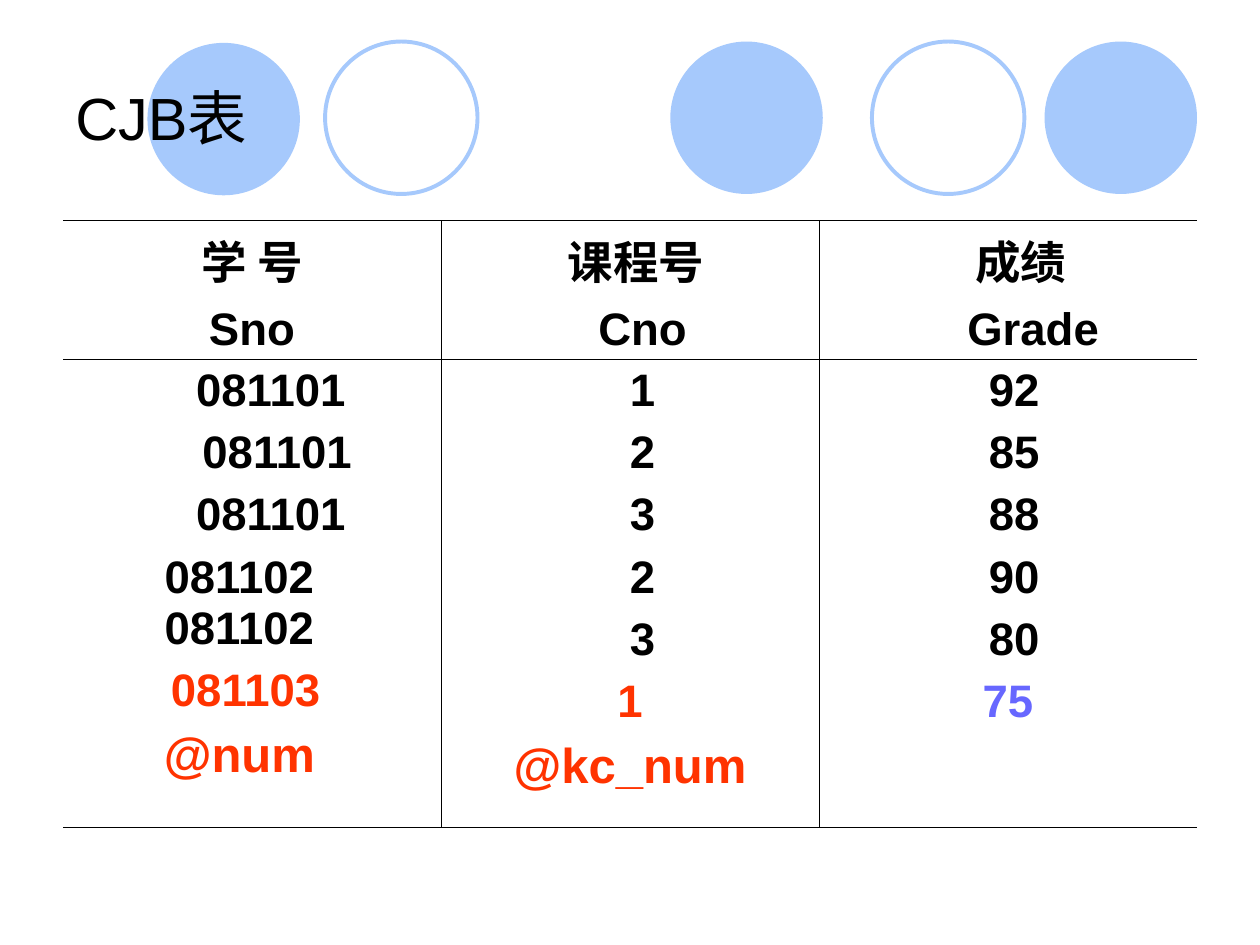
from dataclasses import dataclass

from lxml import etree
from pptx import Presentation
from pptx.dml.color import RGBColor
from pptx.enum.shapes import MSO_SHAPE
from pptx.enum.text import MSO_ANCHOR, PP_ALIGN
from pptx.oxml.ns import qn
from pptx.util import Inches, Pt

OVAL = MSO_SHAPE.OVAL
MIDDLE = MSO_ANCHOR.MIDDLE
CENTER = PP_ALIGN.CENTER


@dataclass(frozen=True)
class Theme:
    font: str = "Arial"
    ink: str = "000000"
    sky: str = "A6C9FC"
    red: str = "FF3300"
    violet: str = "6767FF"
    title: float = 34
    body: float = 26
    large: float = 28
    rule: float = 0.45
    ring: float = 2.25


theme = Theme()


def write(para, text, size, color, bold=False):
    run = para.add_run()
    run.text = text
    run.font.name = theme.font
    run.font.size = Pt(size)
    run.font.bold = bold
    run.font.color.rgb = RGBColor.from_string(color)


def set_edge(cell, side, drawn):
    """Draw a thin rule on one side of a cell, or clear that side."""
    props = cell._tc.get_or_add_tcPr()
    line = etree.SubElement(props, qn(f"a:ln{side}"), w=str(Pt(theme.rule)))
    if drawn:
        fill = etree.SubElement(line, qn("a:solidFill"))
        etree.SubElement(fill, qn("a:srgbClr"), val=theme.ink)
    else:
        etree.SubElement(line, qn("a:noFill"))


deck = Presentation()
deck.slide_width, deck.slide_height = Inches(10), Inches(7.5)
slide = deck.slides.add_slide(deck.slide_layouts[6])

# Row of circles: left, top, filled
circles = [
    (5.32, 0.33, True),
    (8.29, 0.33, True),
    (1.17, 0.34, True),
    (6.92, 0.33, False),
    (2.58, 0.33, False),
]
for left, top, filled in circles:
    disc = slide.shapes.add_shape(
        OVAL, Inches(left), Inches(top), Inches(1.21), Inches(1.21))
    disc.shadow.inherit = False
    if filled:
        disc.fill.solid()
        disc.fill.fore_color.rgb = RGBColor.from_string(theme.sky)
        disc.line.fill.background()
    else:
        disc.fill.background()
        disc.line.color.rgb = RGBColor.from_string(theme.sky)
        disc.line.width = Pt(theme.ring)

title = slide.shapes.add_textbox(
    Inches(0.5), Inches(0.3), Inches(9), Inches(1.25)).text_frame
title.word_wrap = True
title.vertical_anchor = MIDDLE
write(title.paragraphs[0], "CJB表", theme.title, theme.ink)

# Each entry: text, left indent in inches (negative means right), then
# colour and size where they differ from the body text
red, big = theme.red, theme.large
grid = [
    [
        [("学 号", 0), ("Sno", 0)],
        [("课程号", 0.1), ("Cno", 0.2)],
        [("成绩", 0.2), ("Grade", 0.4)],
    ],
    [
        [("081101", 0.3), ("081101", 0.4), ("081101", 0.3), ("081102", -0.2),
         ("081102", 0), ("081103", 0.1, red), ("@num", 0, red, big)],
        [(num, 0.2) for num in "12323"]
        + [("1", 0, red), ("@kc_num", 0, red, big)],
        [(mark, 0.1) for mark in ("92", "85", "88", "90", "80")]
        + [("75", 0, theme.violet)],
    ],
]
tight = (1, 0, 4)  # the second 081102 follows the first without a gap

table = slide.shapes.add_table(
    2, 3, Inches(0.5), Inches(1.75), Inches(9), Inches(4.82)).table
for col in table.columns:
    col.width = Inches(3)
for row, height in zip(table.rows, (1.1, 3.72)):
    row.height = Inches(height)

for r, cells in enumerate(grid):
    for c, lines in enumerate(cells):
        cell = table.cell(r, c)
        for side, drawn in (("L", c > 0), ("R", c < 2), ("T", True), ("B", True)):
            set_edge(cell, side, drawn)
        cell.fill.background()
        frame = cell.text_frame
        for i, (text, shift, *style) in enumerate(lines):
            color, size = style + [theme.ink, theme.body][len(style):]
            para = frame.paragraphs[0] if i == 0 else frame.add_paragraph()
            para.alignment = CENTER
            if i:
                para.space_before = Pt(0 if (r, c, i) == tight else size / 4)
            if shift:
                props = para._p.get_or_add_pPr()
                props.set("marL" if shift > 0 else "marR", str(Inches(abs(shift))))
            write(para, text, size, color, bold=True)

deck.save("out.pptx")
